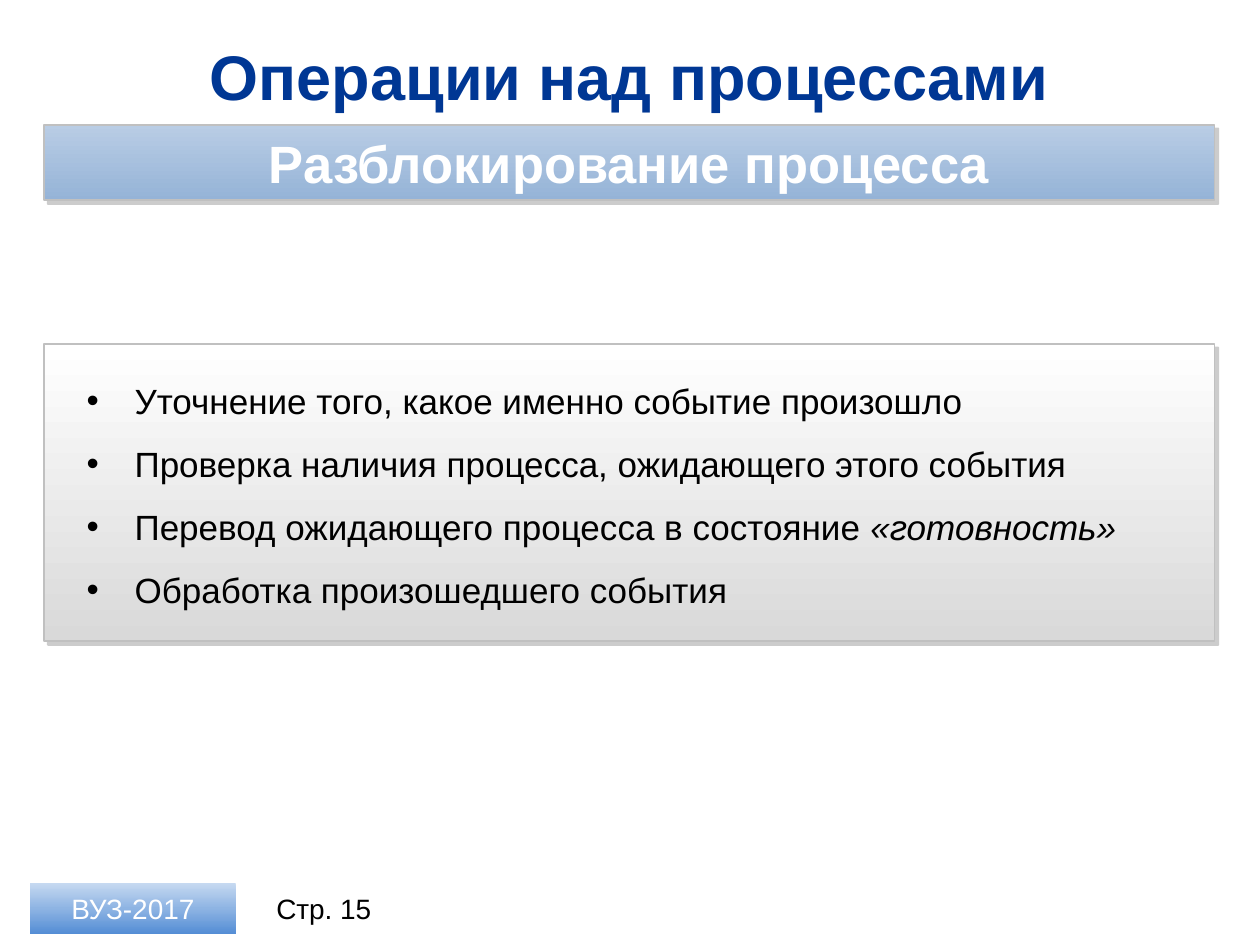
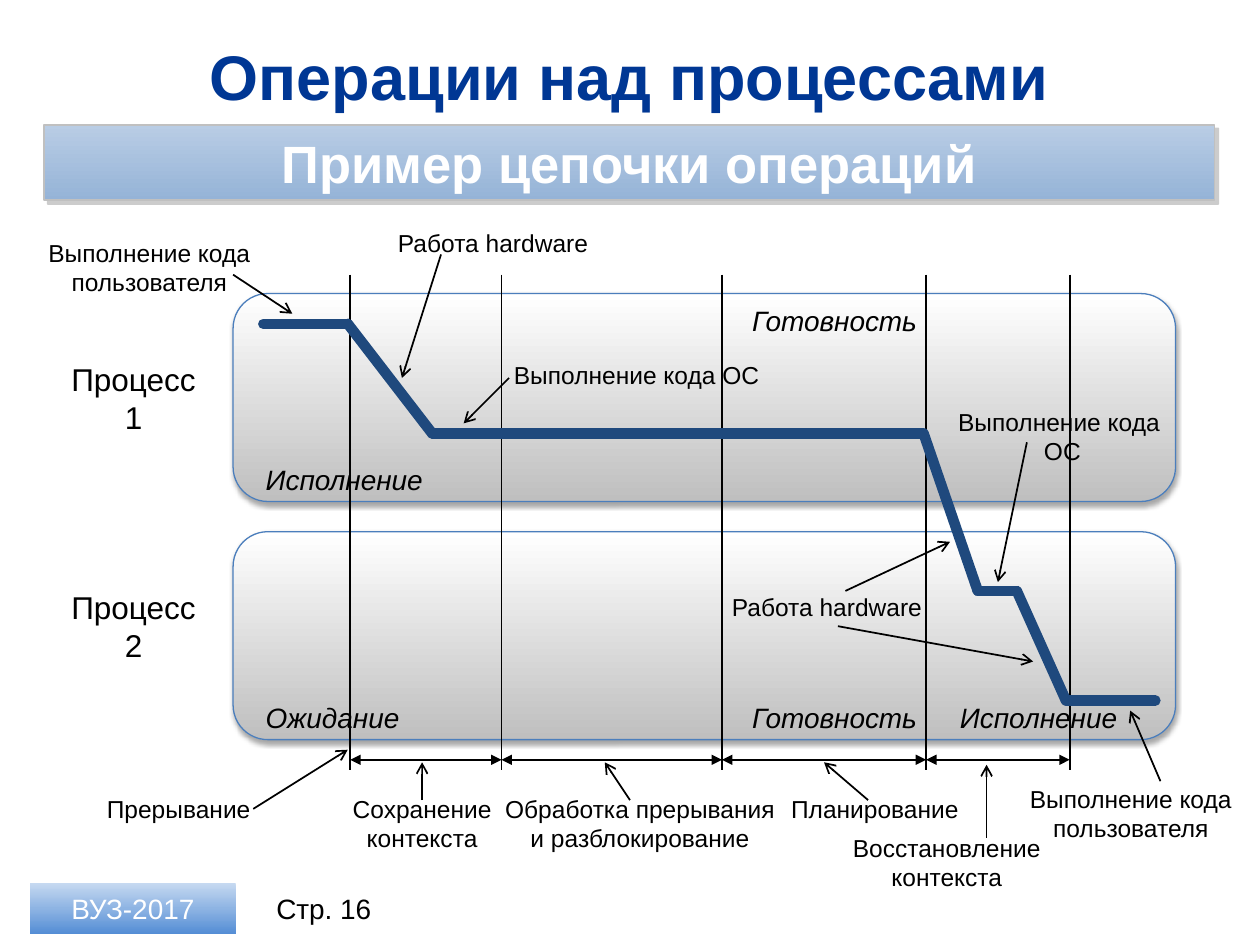
from itertools import pairwise

from lxml import etree
from pptx import Presentation
from pptx.dml.color import RGBColor
from pptx.enum.shapes import MSO_CONNECTOR, MSO_SHAPE
from pptx.enum.text import MSO_ANCHOR, MSO_AUTO_SIZE, PP_ALIGN
from pptx.oxml.ns import qn
from pptx.util import Inches, Pt

RECT, ROUND = MSO_SHAPE.RECTANGLE, MSO_SHAPE.ROUNDED_RECTANGLE
LINE = MSO_CONNECTOR.STRAIGHT
MIDDLE = MSO_ANCHOR.MIDDLE
LEFT, CENTER = PP_ALIGN.LEFT, PP_ALIGN.CENTER
GROW, FIXED = MSO_AUTO_SIZE.SHAPE_TO_FIT_TEXT, MSO_AUTO_SIZE.NONE

FONT = "Arial"
BLACK = RGBColor(0x00, 0x00, 0x00)
WHITE = RGBColor(0xFF, 0xFF, 0xFF)
NAVY = RGBColor(0x00, 0x37, 0x94)
TRACE = RGBColor(0x1F, 0x49, 0x7D)
EDGE = RGBColor(0xC0, 0xC0, 0xC0)
LANE_EDGE = RGBColor(0x4B, 0x7E, 0xBC)
SHADE = RGBColor(0x80, 0x80, 0x80)
# Gradients run from top to bottom
BAND_FILL = RGBColor(0xB9, 0xCD, 0xE5), RGBColor(0x95, 0xB3, 0xD7)
CARD_FILL = WHITE, RGBColor(0xD9, 0xD9, 0xD9)
LANE_FILL = WHITE, RGBColor(0xBF, 0xBF, 0xBF)
BADGE_FILL = (RGBColor(0xC6, 0xD9, 0xF1), RGBColor(0x8E, 0xB4, 0xE3),
              RGBColor(0x55, 0x8E, 0xD5))
# Shadows: colour, opacity %, blur pt, distance pt, angle
CARD_SHADOW = SHADE, 40, 0, 3, 45
LANE_SHADOW = BLACK, 35, 3.1, 1.8, 90

TITLE = "Операции над процессами"
BADGE = "ВУЗ-2017"
MARGIN, WIDTH = 0.35, 9.29

# Each step is a list of (text, italic) runs
STEPS = [
    [("Уточнение того, какое именно событие произошло", False)],
    [("Проверка наличия процесса, ожидающего этого события", False)],
    [("Перевод ожидающего процесса в состояние ", False),
     ("«готовность»", True)],
    [("Обработка произошедшего события", False)],
]

LANES = [("Процесс 1", 2.33, 2.81), ("Процесс 2", 4.22, 4.62)]
STATES = [
    ("Исполнение", 2.01, 3.62, 1.5),
    ("Ожидание", 2.01, 5.51, 1.5),
    ("Готовность", 5.87, 2.36, 1.65),
    ("Готовность", 5.87, 5.51, 1.65),
    ("Исполнение", 7.52, 5.51, 1.5),
]
PATH = [(2.09, 2.57), (2.76, 2.57), (3.43, 3.44), (3.93, 3.44), (5.71, 3.44),
        (7.33, 3.44), (7.76, 4.69), (8.07, 4.69), (8.46, 5.56), (9.17, 5.56)]
MARKS = [2.78, 3.98, 5.73, 7.35, 8.49]
MARK_TOP, MARK_END, SPAN_Y = 2.18, 6.11, 6.03
# Lines of text, left, top, width, alignment, arrows (from, to)
NOTES = [
    (["Выполнение кода пользователя"], 0.28, 1.84, 1.81, CENTER,
     [((1.85, 2.18), (2.32, 2.49))]),
    (["Работа hardware"], 3.06, 1.76, 1.73, LEFT,
     [((3.5, 2.02), (3.19, 3))]),
    (["Выполнение кода ОС"], 3.98, 2.81, 2.2, LEFT,
     [((4.04, 3), (3.68, 3.36))]),
    (["Выполнение кода", " ОС"], 7.4, 3.18, 2.01, CENTER,
     [((8.15, 3.51), (7.92, 4.62))]),
    (["Работа hardware"], 5.71, 4.65, 1.73, LEFT,
     [((6.71, 4.69), (7.54, 4.3)), ((6.65, 4.97), (8.2, 5.25))]),
    (["Прерывание"], 0.75, 6.25, 1.5, LEFT,
     [((2.01, 6.42), (2.76, 5.95))]),
    (["Сохранение контекста"], 2.64, 6.25, 1.42, CENTER,
     [((3.35, 6.35), (3.35, 6.05))]),
    (["Обработка прерывания", "и разблокирование"], 3.9, 6.25, 2.36, CENTER,
     [((5, 6.35), (4.8, 6.05))]),
    (["Планирование"], 6.18, 6.25, 1.65, LEFT,
     [((6.89, 6.35), (6.54, 6.05))]),
    (["Восстановление контекста"], 6.65, 6.56, 1.73, CENTER,
     [((7.83, 6.65), (7.83, 6.07))]),
    (["Выполнение кода пользователя"], 8.07, 6.17, 1.81, CENTER,
     [((9.21, 6.2), (8.97, 5.64))]),
]


def sub(parent, tag, **attrs):
    """Append one drawing element with the given attributes."""
    node = etree.SubElement(parent, qn("a:" + tag))
    for key, val in attrs.items():
        node.set(key, str(val))
    return node


def add_run(para, text, size, color=BLACK, bold=False, italic=False):
    run = para.add_run()
    run.text = text
    font = run.font
    font.name, font.size, font.color.rgb = FONT, Pt(size), color
    font.bold, font.italic = bold, italic


def fill_text(frame, lines, size, align=CENTER, **style):
    """Write plain lines, one paragraph each, into an empty frame."""
    frame.word_wrap = True
    for i, text in enumerate(lines):
        para = frame.add_paragraph() if i else frame.paragraphs[0]
        para.alignment = align
        add_run(para, text, size, **style)


def add_label(slide, lines, box, size, align=CENTER, **style):
    frame = slide.shapes.add_textbox(*map(Inches, box)).text_frame
    fill_text(frame, lines, size, align, **style)
    frame.auto_size = GROW
    return frame


def add_panel(slide, kind, box, colors, edge=None, weight=1, shadow=None):
    """Draw a shape with a downward gradient and an optional shadow."""
    shape = slide.shapes.add_shape(kind, *map(Inches, box))
    shape.shadow.inherit = False
    shape.fill.gradient()
    shape.fill.gradient_angle = 270
    props = shape._element.spPr
    stops = props.find(".//" + qn("a:gsLst"))
    for stop in list(stops):
        stops.remove(stop)
    for i, color in enumerate(colors):
        stop = sub(stops, "gs", pos=100000 * i // (len(colors) - 1))
        sub(stop, "srgbClr", val=color)
    if edge:
        shape.line.color.rgb, shape.line.width = edge, Pt(weight)
    else:
        shape.line.fill.background()
    if shadow:
        color, alpha, blur, dist, angle = shadow
        cast = sub(props.find(qn("a:effectLst")), "outerShdw",
                   blurRad=Pt(blur), dist=Pt(dist), dir=angle * 60000,
                   algn="tl", rotWithShape=0)
        sub(sub(cast, "srgbClr", val=color), "alpha", val=alpha * 1000)
    return shape


def add_line(slide, start, end, color=BLACK, width=1, head=None, tail=None):
    link = slide.shapes.add_connector(LINE, *map(Inches, (*start, *end)))
    link.line.color.rgb, link.line.width = color, Pt(width)
    stroke = link.line._get_or_add_ln()
    if color == TRACE:
        stroke.set("cap", "rnd")
    for tag, kind in (("headEnd", head), ("tailEnd", tail)):
        if kind:
            sub(stroke, tag, type=kind)
    sub(link._element.spPr, "effectLst")


def add_page(deck, number, topic):
    """Add a slide with its title, topic band and footer."""
    slide = deck.slides.add_slide(deck.slide_layouts[5])
    title = slide.shapes.title
    title.left, title.top = Inches(MARGIN), Inches(0.26)
    title.width, title.height = Inches(WIDTH), Inches(0.68)
    frame = title.text_frame
    frame.auto_size, frame.vertical_anchor = FIXED, MIDDLE
    fill_text(frame, [TITLE], 36, color=NAVY, bold=True)

    frame = add_label(slide, [f"Стр. {number}"], (2.03, 7.01, 1.08, 0.4), 16)
    frame.auto_size, frame.vertical_anchor = FIXED, MIDDLE
    badge = add_panel(slide, RECT, (0.24, 7.01, 1.63, 0.4), BADGE_FILL)
    fill_text(badge.text_frame, [BADGE], 16, color=WHITE)

    band = add_panel(slide, RECT, (MARGIN, 0.99, WIDTH, 0.6), BAND_FILL,
                     EDGE, shadow=CARD_SHADOW)
    frame = band.text_frame
    frame.margin_left = frame.margin_right = Inches(0.24)
    frame.margin_top = frame.margin_bottom = Inches(0.04)
    fill_text(frame, [topic], 30, color=WHITE, bold=True)
    return slide


def add_steps(slide):
    add_panel(slide, RECT, (MARGIN, 2.73, WIDTH, 2.36), CARD_FILL, EDGE,
              shadow=CARD_SHADOW)
    frame = add_label(slide, [], (0.59, 2.96, 8.74, 1.95), 20)
    indent = Inches(0.38)
    for i, runs in enumerate(STEPS):
        para = frame.add_paragraph() if i else frame.paragraphs[0]
        if i:
            para.space_before = Pt(12)
        props = para._p.get_or_add_pPr()
        props.set("marL", str(indent))
        props.set("indent", str(-indent))
        sub(props, "buFont", typeface=FONT)
        sub(props, "buChar", char="•")
        for text, italic in runs:
            add_run(para, text, 20, italic=italic)


def add_chain(slide):
    for name, top, label_top in LANES:
        add_panel(slide, ROUND, (1.85, top, 7.48, 1.65), LANE_FILL,
                  LANE_EDGE, 0.75, LANE_SHADOW)
        add_label(slide, [name], (0.43, label_top, 1.26, 0.71), 18)
    for x in MARKS:
        add_line(slide, (x, MARK_TOP), (x, MARK_END))
    for left, right in pairwise(MARKS):
        add_line(slide, (left, SPAN_Y), (right, SPAN_Y),
                 head="triangle", tail="triangle")
    for start, end in pairwise(PATH):
        add_line(slide, start, end, TRACE, 6)
    for text, left, top, width in STATES:
        add_label(slide, [text], (left, top, width, 0.37), 16, LEFT,
                  italic=True)
    for lines, left, top, width, align, arrows in NOTES:
        height = 0.34 if align == LEFT else 0.57
        add_label(slide, lines, (left, top, width, height), 14, align)
        for start, end in arrows:
            add_line(slide, start, end, tail="arrow")


def main():
    deck = Presentation()
    deck.slide_width, deck.slide_height = Inches(10), Inches(7.5)
    add_steps(add_page(deck, 15, "Разблокирование процесса"))
    add_chain(add_page(deck, 16, "Пример цепочки операций"))
    deck.save("out.pptx")


if __name__ == "__main__":
    main()
